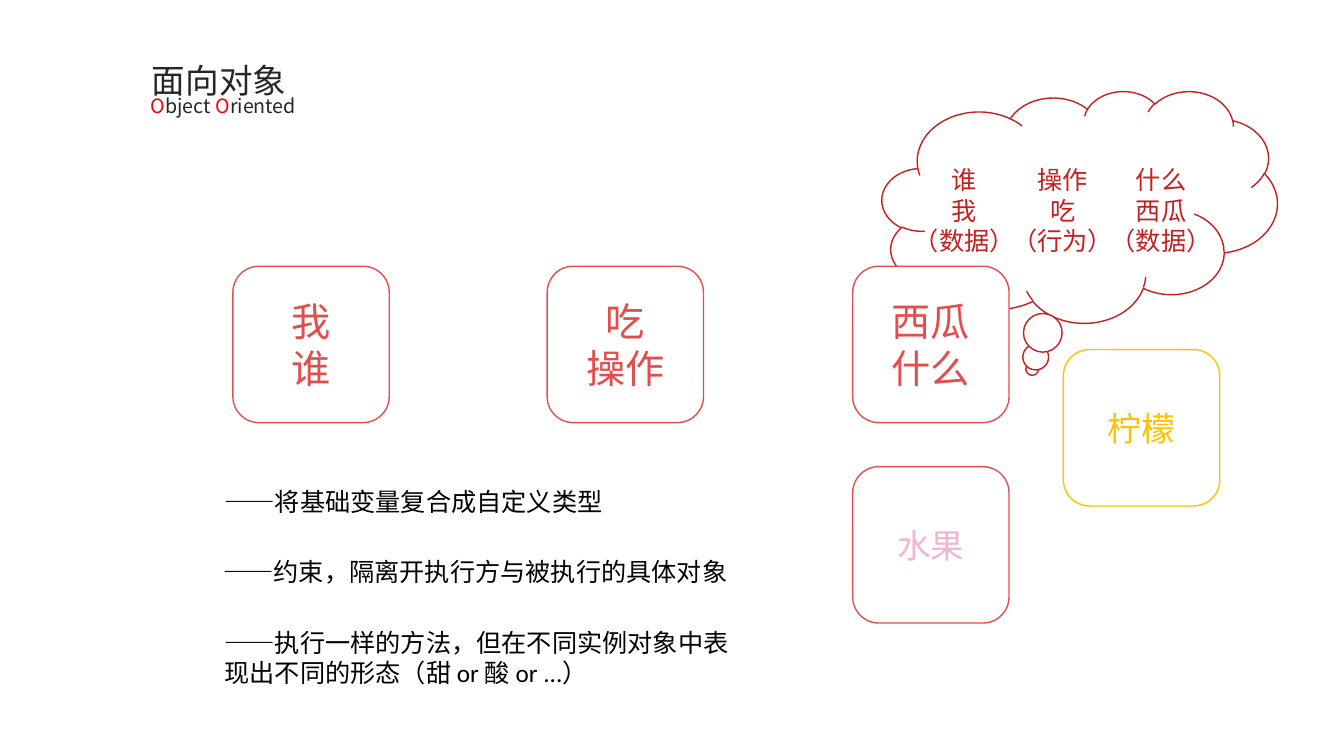
from dataclasses import dataclass

from pptx import Presentation
from pptx import util as u
from pptx.dml.color import RGBColor
from pptx.enum import shapes, text


@dataclass(frozen=True)
class Theme:
    red: str = "E34D4D"
    deep: str = "C51F1F"
    gold: str = "FFC000"
    pink: str = "F3B4D1"
    mark: str = "FF0000"
    dark: str = "262626"
    black: str = "000000"
    white: str = "FFFFFF"
    body: str = "Calibri"
    head: str = "Noto Sans CJK SC"
    small: int = 14
    note: int = 18
    title: int = 24
    large: int = 28


@dataclass(frozen=True)
class Card:
    label: str
    left: float
    top: float
    line: str
    color: str
    size: int


@dataclass(frozen=True)
class Note:
    label: str
    left: float
    top: float
    width: float
    height: float
    color: str
    align: text.PP_ALIGN = text.PP_ALIGN.LEFT
    inset: float = 0.25


T = Theme()
SIDE = 3.94  # side of a card
STEP = 2.48  # distance between the cloud's columns
MID = text.PP_ALIGN.CENTER

CLOUD = ["谁\n我\n（数据）", "操作\n吃\n（行为）", "什么\n西瓜\n（数据）"]
CARDS = [
    Card("西瓜\n什么", 21.49, 6.71, T.red, T.red, T.large),
    Card("吃\n操作", 13.79, 6.71, T.red, T.red, T.large),
    Card("我\n谁", 5.87, 6.71, T.red, T.red, T.large),
    Card("水果", 21.49, 11.76, T.red, T.pink, T.title),
    Card("柠檬", 26.8, 8.81, T.gold, T.gold, T.title),
]
NOTES = [
    Note("——将基础变量复合成自定义类型", 5.41, 12.12, 11.13, 1.3, T.black),
    Note("——约束，隔离开执行方与被执行的具体对象", 5.38, 13.9, 13.74, 1.3, T.black),
    Note("——执行一样的方法，但在不同实例对象中表现出不同的形态（甜 or 酸 or ...）",
         5.41, 15.68, 13.74, 2.06, T.black),
]


def rgb(color: str) -> RGBColor:
    return RGBColor.from_string(color)


def style(frame, color: str, size: int, font: str, align: text.PP_ALIGN) -> None:
    for para in frame.paragraphs:
        para.alignment = align
        para.font.name = font
        para.font.size = u.Pt(size)
        para.font.color.rgb = rgb(color)


def pad(frame, inset: float) -> None:
    frame.word_wrap = True
    frame.margin_left = frame.margin_right = u.Cm(inset)
    frame.margin_top = frame.margin_bottom = u.Cm(inset / 2)


def outline(shape, color: str) -> None:
    shape.shadow.inherit = False
    shape.fill.solid()
    shape.fill.fore_color.rgb = rgb(T.white)
    shape.line.color.rgb = rgb(color)
    shape.line.width = u.Pt(1)


def draw_card(slide, card: Card) -> None:
    shape = slide.shapes.add_shape(
        shapes.MSO_SHAPE.ROUNDED_RECTANGLE,
        u.Cm(card.left), u.Cm(card.top), u.Cm(SIDE), u.Cm(SIDE))
    outline(shape, card.line)
    frame = shape.text_frame
    frame.text = card.label
    frame.vertical_anchor = text.MSO_ANCHOR.MIDDLE
    pad(frame, 0)
    style(frame, card.color, card.size, T.body, MID)


def draw_note(slide, note: Note) -> None:
    box = slide.shapes.add_textbox(
        u.Cm(note.left), u.Cm(note.top), u.Cm(note.width), u.Cm(note.height))
    frame = box.text_frame
    frame.text = note.label
    pad(frame, note.inset)
    style(frame, note.color, T.note, T.body, note.align)


def draw_head(slide) -> None:
    # Title
    title = slide.shapes.title
    title.left, title.top = u.Cm(3.58), u.Cm(1)
    title.width, title.height = u.Cm(10.54), u.Cm(2.04)
    frame = title.text_frame
    frame.text = "面向对象"
    frame.auto_size = text.MSO_AUTO_SIZE.NONE
    frame.vertical_anchor = text.MSO_ANCHOR.MIDDLE
    pad(frame, 0.25)
    style(frame, T.dark, T.title, T.head, text.PP_ALIGN.LEFT)

    # Subtitle with marked initials
    box = slide.shapes.add_textbox(u.Cm(3.55), u.Cm(2.24), u.Cm(13.8), u.Cm(0.86))
    frame = box.text_frame
    frame.vertical_anchor = text.MSO_ANCHOR.MIDDLE
    pad(frame, 0.25)
    style(frame, T.dark, T.small, T.head, text.PP_ALIGN.LEFT)
    for word in ("Object ", "Oriented"):
        for part, color in ((word[0], T.mark), (word[1:], T.dark)):
            run = frame.paragraphs[0].add_run()
            run.text = part
            run.font.color.rgb = rgb(color)


def draw_cloud(slide) -> None:
    cloud = slide.shapes.add_shape(
        shapes.MSO_SHAPE.CLOUD_CALLOUT,
        u.Cm(22.23), u.Cm(2.29), u.Cm(9.96), u.Cm(5.84))
    cloud.adjustments[0] = -0.12
    cloud.adjustments[1] = 0.7
    outline(cloud, T.deep)
    for i, label in enumerate(CLOUD):
        draw_note(slide, Note(label, 22.95 + i * STEP, 4.15, 2.7, 2.4, T.deep, MID, 0))


def main() -> None:
    deck = Presentation()
    deck.slide_width, deck.slide_height = u.Cm(33.87), u.Cm(19.05)
    slide = deck.slides.add_slide(deck.slide_layouts[5])
    draw_head(slide)
    draw_cloud(slide)
    for card in CARDS:
        draw_card(slide, card)
    for note in NOTES:
        draw_note(slide, note)
    deck.save("out.pptx")


if __name__ == "__main__":
    main()
